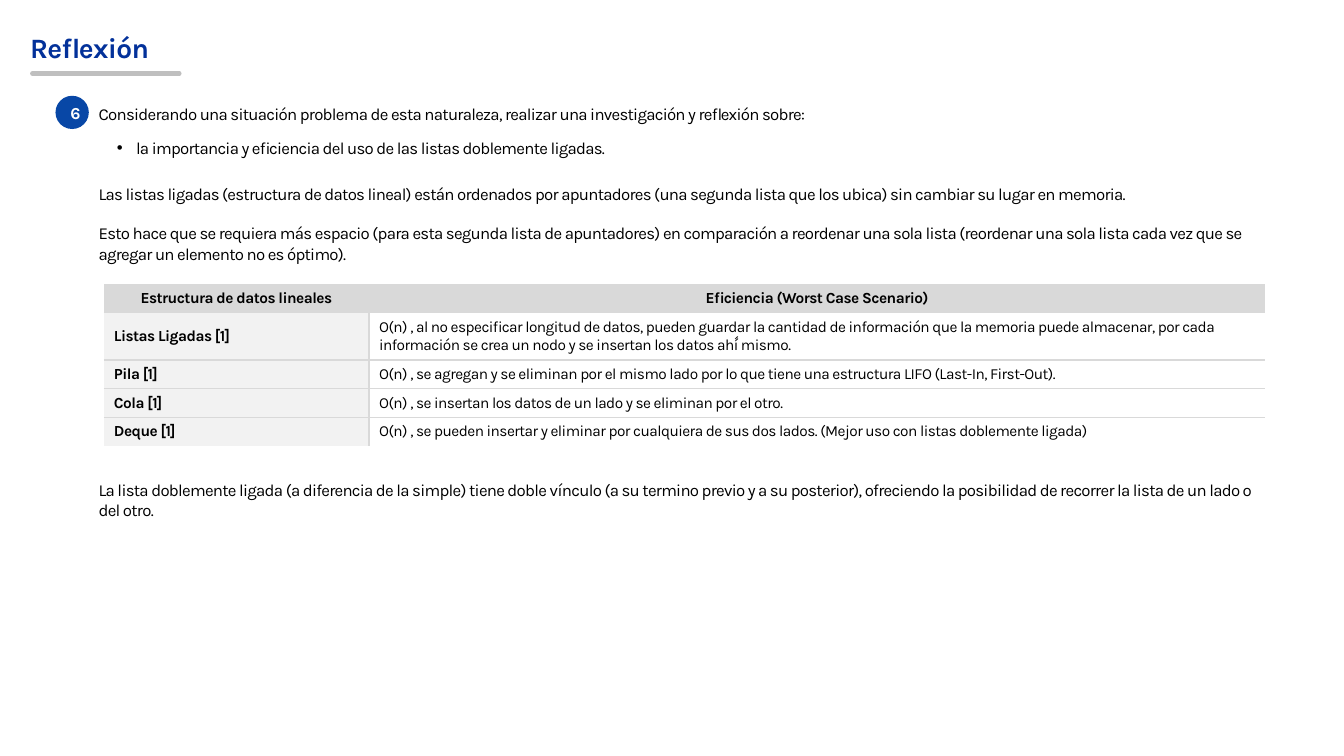
from dataclasses import dataclass

from lxml import etree
from pptx import Presentation
from pptx.dml.color import RGBColor
from pptx.enum.shapes import MSO_CONNECTOR, MSO_SHAPE
from pptx.enum.text import MSO_ANCHOR, MSO_AUTO_SIZE, PP_ALIGN
from pptx.oxml.ns import qn
from pptx.util import Inches, Pt


@dataclass(frozen=True)
class Theme:
    font: str = "Karla"
    title: str = "03319A"
    badge: str = "0847A6"
    rule: str = "BFBFBF"
    ink: str = "000000"
    light: str = "FFFFFF"
    header: str = "D9D9D9"
    label: str = "F2F2F2"
    title_size: float = 20
    body_size: float = 12
    table_size: float = 11
    tracking: int = -50
    table_tracking: int = -40
    paragraph_gap: float = 14


THEME = Theme()
WIDTH, HEIGHT = Inches(13.333), Inches(7.5)
TEXT_LEFT, TEXT_WIDTH = 6.6, 87.55

INTRO = ("Considerando una situación problema de esta naturaleza, realizar una "
         "investigación y reflexión sobre:")
TOPIC = "la importancia y eficiencia del uso de las listas doblemente ligadas."
EXPLANATION = [
    "Las listas ligadas (estructura de datos lineal) están ordenados por apuntadores "
    "(una segunda lista que los ubica) sin cambiar su lugar en memoria.",
    "Esto hace que se requiera más espacio (para esta segunda lista de apuntadores) en "
    "comparación a reordenar una sola lista (reordenar una sola lista cada vez que se "
    "agregar un elemento no es óptimo).",
]
CLOSING = ("La lista doblemente ligada (a diferencia de la simple) tiene doble vínculo "
           "(a su termino previo y a su posterior), ofreciendo la posibilidad de recorrer "
           "la lista de un lado o del otro.")
EFFICIENCY = [
    ("Estructura de datos lineales", "Eficiencia (Worst Case Scenario)"),
    ("Listas Ligadas [1]",
     "O(n) , al no especificar longitud de datos, pueden guardar la cantidad de "
     "información que la memoria puede almacenar, por cada información se crea un nodo "
     "y se insertan los datos ah\u00ed\u0301 mismo."),
    ("Pila [1]", "O(n) , se agregan y se eliminan por el mismo lado por lo que tiene una "
                 "estructura LIFO (Last-In, First-Out)."),
    ("Cola [1]", "O(n) , se insertan los datos de un lado y se eliminan por el otro."),
    ("Deque [1]", "O(n) , se pueden insertar y eliminar por cualquiera de sus dos lados. "
                  "(Mejor uso con listas doblemente ligada)"),
]
COLUMN_SHARES = (2.63, 8.89)
ROW_SHARES = (1, 1.65, 1, 1, 1)


def across(percent):
    return round(WIDTH * percent / 100)


def down(percent):
    return round(HEIGHT * percent / 100)


def box(left, top, width, height):
    return across(left), down(top), across(width), down(height)


def color(value):
    return RGBColor.from_string(value)


def write(paragraph, text, size=THEME.body_size, ink=THEME.ink, bold=False,
          tracking=THEME.tracking, align=PP_ALIGN.LEFT):
    paragraph.alignment = align
    run = paragraph.add_run()
    run.text = text
    font = run.font
    font.name, font.size, font.bold = THEME.font, Pt(size), bold
    font.color.rgb = color(ink)
    run._r.get_or_add_rPr().set("spc", str(tracking))


def add_text(slide, area, paragraphs, **style):
    frame = slide.shapes.add_textbox(*area).text_frame
    frame.word_wrap = True
    frame.auto_size = MSO_AUTO_SIZE.SHAPE_TO_FIT_TEXT
    for index, text in enumerate(paragraphs):
        paragraph = frame.add_paragraph() if index else frame.paragraphs[0]
        paragraph.space_before = Pt(THEME.paragraph_gap if index else 0)
        write(paragraph, text, **style)
    return frame


def add_title(slide, area, text):
    frame = add_text(slide, area, [text], size=THEME.title_size, ink=THEME.title, bold=True)
    frame.auto_size = MSO_AUTO_SIZE.NONE
    frame.vertical_anchor = MSO_ANCHOR.MIDDLE


def add_bullet(slide, area, text):
    paragraph = add_text(slide, area, [text]).paragraphs[0]
    properties = paragraph._p.get_or_add_pPr()
    properties.set("marL", str(Inches(0.2)))
    properties.set("indent", str(Inches(-0.19)))
    etree.SubElement(properties, qn("a:buFont"), typeface="Arial")
    etree.SubElement(properties, qn("a:buChar"), char="•")


def add_rule(slide, left, right, top):
    line = slide.shapes.add_connector(MSO_CONNECTOR.STRAIGHT, across(left), down(top),
                                      across(right), down(top))
    line.line.color.rgb = color(THEME.rule)
    line.line.width = Pt(3)
    line.line._get_or_add_ln().set("cap", "rnd")
    etree.SubElement(line._element.spPr, qn("a:effectLst"))


def add_badge(slide, area, number):
    badge = slide.shapes.add_shape(MSO_SHAPE.OVAL, *area)
    badge.shadow.inherit = False
    badge.fill.solid()
    badge.fill.fore_color.rgb = color(THEME.badge)
    badge.line.fill.background()
    frame = badge.text_frame
    frame.margin_left, frame.margin_right = Inches(0.1), Inches(0.04)
    frame.vertical_anchor = MSO_ANCHOR.MIDDLE
    write(frame.paragraphs[0], number, ink=THEME.light, bold=True, align=PP_ALIGN.CENTER)


def set_borders(cell, visible):
    properties = cell._tc.get_or_add_tcPr()
    for index, (side, shown) in enumerate(visible.items()):
        line = etree.Element(qn(f"a:{side}"), w=str(Pt(1)))
        if shown:
            fill = etree.SubElement(line, qn("a:solidFill"))
            etree.SubElement(fill, qn("a:srgbClr"), val=THEME.header)
        else:
            etree.SubElement(line, qn("a:noFill"))
        properties.insert(index, line)


def fill_cell(cell, text, row, column, rows, columns):
    header, label = row == 0, column == 0
    cell.vertical_anchor = MSO_ANCHOR.MIDDLE
    if header or label:
        cell.fill.solid()
        cell.fill.fore_color.rgb = color(THEME.header if header else THEME.label)
    else:
        cell.fill.background()
    write(cell.text_frame.paragraphs[0], text, size=THEME.table_size,
          bold=header or label, tracking=THEME.table_tracking,
          align=PP_ALIGN.CENTER if header else PP_ALIGN.LEFT)
    set_borders(cell, {"lnL": column > 0, "lnR": column < columns - 1,
                       "lnT": row > 0, "lnB": row < rows - 1})


def add_efficiency_table(slide, area, data):
    rows, columns = len(data), len(data[0])
    table = slide.shapes.add_table(rows, columns, *area).table
    table.first_row = table.horz_banding = False
    for column, share in zip(table.columns, COLUMN_SHARES):
        column.width = round(area[2] * share / sum(COLUMN_SHARES))
    for row, share in zip(table.rows, ROW_SHARES):
        row.height = round(area[3] * share / sum(ROW_SHARES))
    for r, values in enumerate(data):
        for c, text in enumerate(values):
            fill_cell(table.cell(r, c), text, r, c, rows, columns)


def main():
    deck = Presentation()
    deck.slide_width, deck.slide_height = WIDTH, HEIGHT
    slide = deck.slides.add_slide(deck.slide_layouts[6])
    add_title(slide, box(1.5, 2.27, 38.25, 8), "Reflexión")
    add_text(slide, box(TEXT_LEFT, 13.07, 84.25, 4), [INTRO])
    add_rule(slide, 2.4, 13.35, 9.73)
    add_badge(slide, box(4.13, 12.67, 2.48, 4.4), "6")
    add_bullet(slide, box(7.88, 17.6, 71.1, 4), TOPIC)
    add_text(slide, box(TEXT_LEFT, 23.6, TEXT_WIDTH, 12.13), EXPLANATION)
    add_efficiency_table(slide, box(7.73, 37.6, 86.42, 21.33), EFFICIENCY)
    add_text(slide, box(TEXT_LEFT, 62.8, TEXT_WIDTH, 6.67), [CLOSING])
    deck.save("out.pptx")


main()
